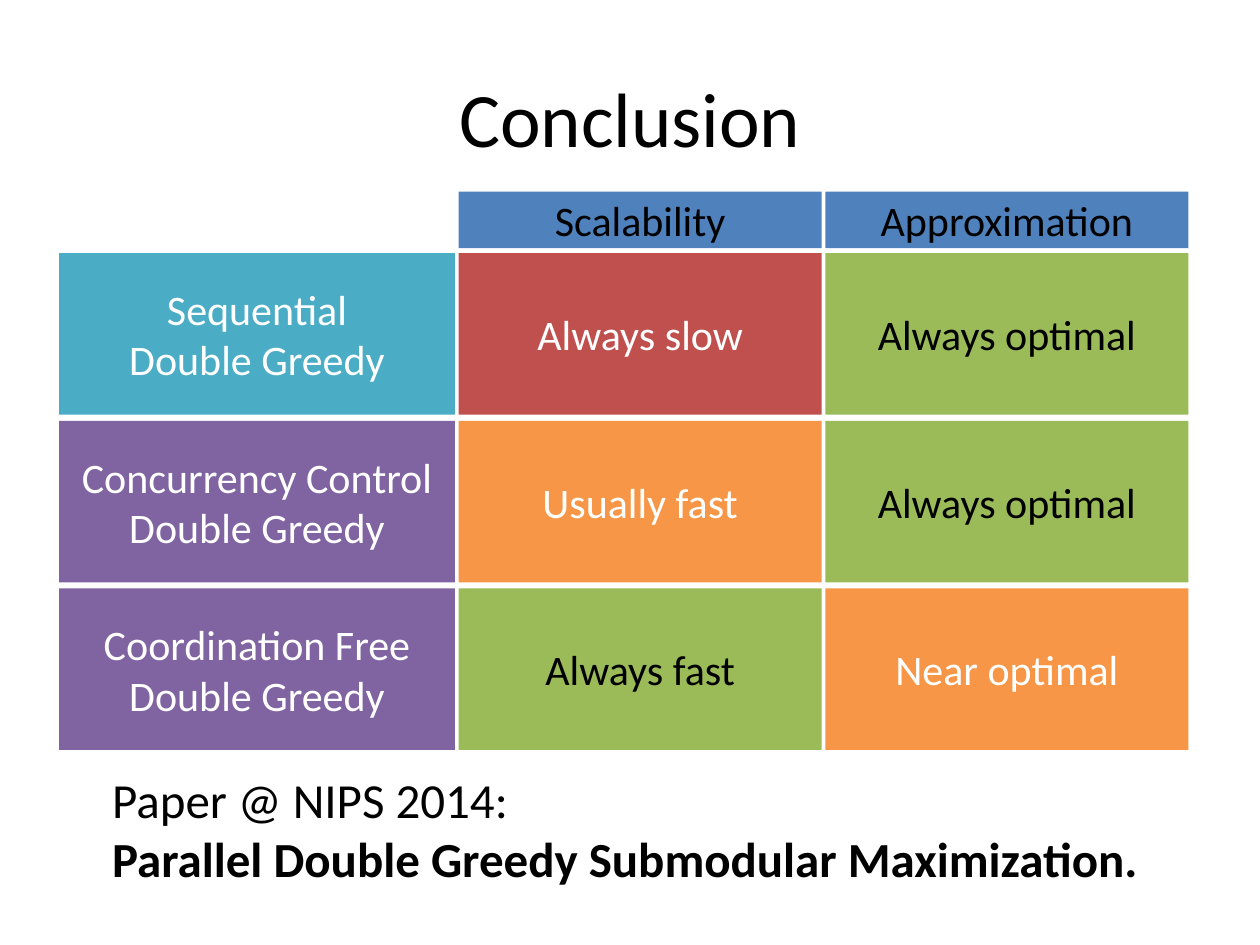
from pptx import Presentation
from pptx.dml.color import RGBColor
from pptx.enum.shapes import MSO_SHAPE
from pptx.enum.text import MSO_ANCHOR, PP_ALIGN
from pptx.util import Pt

COLORS = {
    "black": "000000",
    "white": "FFFFFF",
    "blue": "4F81BD",
    "red": "C0504D",
    "green": "9BBB59",
    "purple": "8064A2",
    "teal": "4BACC6",
    "orange": "F79646",
}
DARK_TEXT_FILLS = {"blue", "green"}

COLUMNS = [(33.84, 226.08), (262.08, 207.5), (471.6, 207.5)]
HEADER_TOP, HEADER_HEIGHT = 109.44, 32.4
BODY_TOP, ROW_HEIGHT, ROW_PITCH = 144.72, 92.3, 95.76

HEADERS = [("Scalability", "blue"), ("Approximation", "blue")]
ROWS = [
    [("Sequential\nDouble Greedy", "teal"), ("Always slow", "red"), ("Always optimal", "green")],
    [("Concurrency Control\nDouble Greedy", "purple"), ("Usually fast", "orange"), ("Always optimal", "green")],
    [("Coordination Free\nDouble Greedy", "purple"), ("Always fast", "green"), ("Near optimal", "orange")],
]


def write_text(frame, text, *, font, size, color="black", align=PP_ALIGN.LEFT,
               anchor=MSO_ANCHOR.TOP, bold_lines=()):
    frame.word_wrap = True
    frame.vertical_anchor = anchor
    for index, line in enumerate(text.split("\n")):
        paragraph = frame.add_paragraph() if index else frame.paragraphs[0]
        paragraph.alignment = align
        run = paragraph.add_run()
        run.text = line
        run.font.name = font
        run.font.size = Pt(size)
        run.font.bold = index in bold_lines
        run.font.color.rgb = RGBColor.from_string(COLORS[color])


class SlideBuilder:
    """Hold the style and the current slide, and add elements to it."""

    def __init__(self, slide, font="Calibri", cell_size=24):
        self.slide = slide
        self.font = font
        self.cell_size = cell_size

    def text(self, text, left, top, width, height, **text_format):
        shape = self.slide.shapes.add_textbox(Pt(left), Pt(top), Pt(width), Pt(height))
        write_text(shape.text_frame, text, font=self.font, **text_format)

    def cell(self, text, fill, left, top, width, height):
        shape = self.slide.shapes.add_shape(
            MSO_SHAPE.RECTANGLE, Pt(left), Pt(top), Pt(width), Pt(height))
        shape.shadow.inherit = False
        shape.fill.solid()
        shape.fill.fore_color.rgb = RGBColor.from_string(COLORS[fill])
        shape.line.fill.background()
        write_text(shape.text_frame, text, font=self.font, size=self.cell_size,
                   color="black" if fill in DARK_TEXT_FILLS else "white",
                   align=PP_ALIGN.CENTER, anchor=MSO_ANCHOR.MIDDLE)

    def row(self, cells, columns, top, height):
        for (text, fill), (left, width) in zip(cells, columns):
            self.cell(text, fill, left, top, width, height)


def main():
    presentation = Presentation()
    presentation.slide_width, presentation.slide_height = Pt(720), Pt(540)
    builder = SlideBuilder(presentation.slides.add_slide(presentation.slide_layouts[6]))

    builder.text("Conclusion", 36, 21.6, 648, 90, size=44,
                 align=PP_ALIGN.CENTER, anchor=MSO_ANCHOR.MIDDLE)
    builder.row(HEADERS, COLUMNS[1:], HEADER_TOP, HEADER_HEIGHT)
    for index, cells in enumerate(ROWS):
        builder.row(cells, COLUMNS, BODY_TOP + index * ROW_PITCH, ROW_HEIGHT)
    builder.text("Paper @ NIPS 2014:\nParallel Double Greedy Submodular Maximization.",
                 57, 436.3, 605.5, 75, size=28, bold_lines=(1,))

    presentation.save("out.pptx")


if __name__ == "__main__":
    main()
